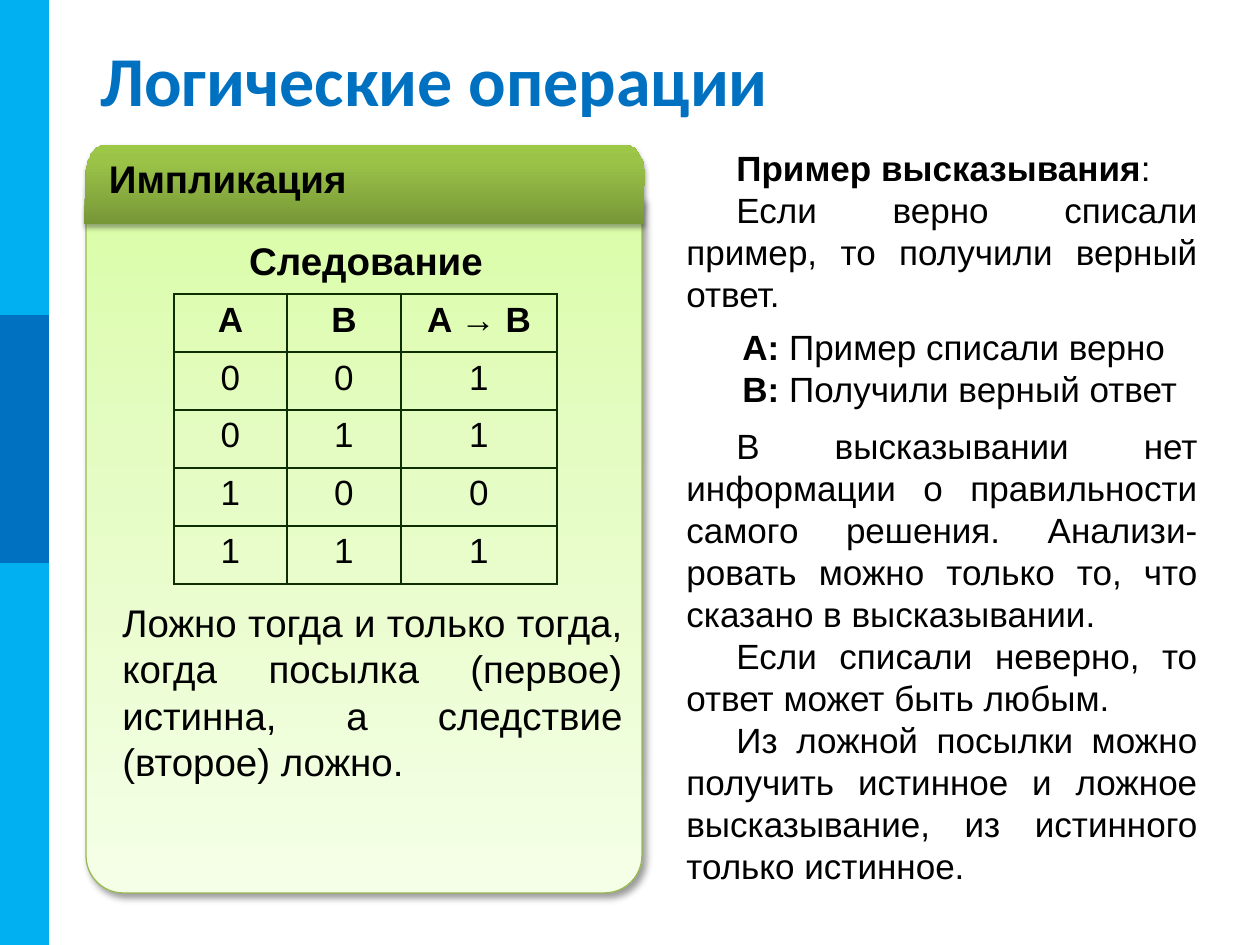
from lxml import etree
from pptx import Presentation
from pptx import util as u
from pptx.dml.color import RGBColor
from pptx.enum import shapes, text
from pptx.oxml import ns

PX = 914400 / 126
SKY = RGBColor(0x00, 0xB0, 0xF0)
BLUE = RGBColor(0x00, 0x70, 0xC0)
BLACK = RGBColor(0, 0, 0)
OLIVE = RGBColor(0x98, 0xB9, 0x55)
GRID = RGBColor(0x0C, 0x2E, 0x00)
LIME = [(0, "DAFDA7"), (35, "E4FCC2"), (100, "F5FFE7")]
MOSS = [(0, "779737"), (80, "9BC348"), (100, "9DC746")]

LEFT, CENTER, JUST = text.PP_ALIGN.LEFT, text.PP_ALIGN.CENTER, text.PP_ALIGN.JUSTIFY
STRIPES = [((0, 0, 49, 945), SKY), ((0, 315, 49, 248), BLUE)]
TITLE = "Логические операции"
HEAD = "Импликация"
TRUTH = [
    ("A", "B", "A → B"),
    ("0", "0", "1"),
    ("0", "1", "1"),
    ("1", "0", "0"),
    ("1", "1", "1"),
]
COLS, ROW = (113, 114, 156), 58

# box, size, alignment, first-line indent, paragraphs of (bold part, plain part)
NOTES = [
    ((106, 231, 520, 59), 22, CENTER, 0, [("Следование", "")]),
    ((110, 593, 525, 199), 22, JUST, 0, [
        ("", "Ложно тогда и только тогда, когда посылка (первое) истинна, "
             "а следствие (второе) ложно.")]),
    ((674, 140, 536, 183), 20, JUST, 50, [
        ("Пример высказывания", ": "),
        ("", "Если верно списали пример, то получили верный ответ.")]),
    ((730, 319, 476, 97), 20, JUST, 0, [
        ("A: ", "Пример списали верно"),
        ("B: ", "Получили верный ответ")]),
    ((674, 418, 536, 479), 20, JUST, 50, [
        ("", "В высказывании нет информации о правильности самого решения. "
             "Анализи-ровать можно только то, что сказано в высказывании. "),
        ("", "Если списали неверно, то ответ может быть любым. "),
        ("", "Из ложной посылки можно получить истинное и ложное "
             "высказывание, из истинного только истинное.")]),
]


def emu(*vals):
    return [u.Emu(round(v * PX)) for v in vals]


def node(root, tag, **attrs):
    return etree.SubElement(root, ns.qn("a:" + tag), {k: str(v) for k, v in attrs.items()})


def shade(shape, stops):
    """Fill with a gradient whose first stop lies at the shape's own bottom."""
    shape.fill.gradient()
    grad = shape._element.spPr.find(ns.qn("a:gradFill"))
    for kid in list(grad):
        grad.remove(kid)
    row = node(grad, "gsLst")
    for pos, tint in stops:
        node(node(row, "gs", pos=pos * 1000), "srgbClr", val=tint)
    node(grad, "lin", ang=270 * 60000, scaled=0)


def shadow(shape, alpha, blur, dist, angle):
    shape.shadow.inherit = False
    fx = shape._element.spPr.find(ns.qn("a:effectLst"))
    cast = node(fx, "outerShdw", blurRad=u.Pt(blur), dist=u.Pt(dist),
                dir=angle * 60000, rotWithShape=0)
    node(node(cast, "srgbClr", val="000000"), "alpha", val=alpha * 1000)


def write(para, words, size, bold=False, face="Arial", tint=BLACK, align=LEFT):
    run = para.add_run()
    run.text = words
    para.alignment = align
    font = run.font
    font.name, font.size, font.bold = face, u.Pt(size), bold
    font.color.rgb = tint


def textbox(slide, box):
    frame = slide.shapes.add_textbox(*emu(*box)).text_frame
    frame.word_wrap = True
    return frame


def note(slide, box, size, align, indent, paras):
    frame = textbox(slide, box)
    for i, parts in enumerate(paras):
        para = frame.add_paragraph() if i else frame.paragraphs[0]
        if indent:
            para._p.get_or_add_pPr().set("indent", str(emu(indent)[0]))
        for words, bold in zip(parts, (True, False)):
            if words:
                write(para, words, size, bold, align=align)


def card(slide):
    body = slide.shapes.add_shape(
        shapes.MSO_SHAPE.ROUND_2_SAME_RECTANGLE, *emu(86, 199, 556, 694))
    body.adjustments[0], body.adjustments[1] = 0.067, 0
    body._element.spPr.find(ns.qn("a:xfrm")).set("flipV", "1")
    shade(body, LIME)
    body.line.color.rgb, body.line.width = OLIVE, u.Pt(0.75)
    shadow(body, 40, 4, 3, 45)


def bend(start, pull, push, end, steps=10):
    """Points along a cubic curve."""
    for i in range(1, steps + 1):
        t = i / steps
        s = 1 - t
        yield tuple(s**3 * a + 3 * s * s * t * b + 3 * s * t * t * c + t**3 * d
                    for a, b, c, d in zip(start, pull, push, end))


def header(slide):
    start = (86, 175)
    rim = [*bend(start, (86, 159), (94, 145), (105, 145)), (626, 145),
           *bend((626, 145), (636, 145), (645, 159), (645, 175)),
           (644, 224), (84, 224)]
    build = slide.shapes.build_freeform(*start, scale=PX)
    build.add_line_segments(rim, close=True)
    tab = build.convert_to_shape()
    shade(tab, MOSS)
    tab.line.fill.background()
    shadow(tab, 35, 3.1, 1.8, 90)
    frame = tab.text_frame
    frame.word_wrap = True
    frame.vertical_anchor = text.MSO_ANCHOR.MIDDLE
    (frame.margin_left, frame.margin_top,
     frame.margin_right, frame.margin_bottom) = emu(25, 5, 11, 11)
    para = frame.paragraphs[0]
    para.line_spacing = 0.9
    write(para, HEAD, 22, True)


def truth(slide):
    table = slide.shapes.add_table(
        len(TRUTH), len(COLS), *emu(174, 294, sum(COLS), ROW * len(TRUTH))).table
    table.first_row = table.horz_banding = False
    for col, width in zip(table.columns, emu(*COLS)):
        col.width = width
    for r, line in enumerate(TRUTH):
        table.rows[r].height = emu(ROW)[0]
        for c, words in enumerate(line):
            cell = table.cell(r, c)
            write(cell.text_frame.paragraphs[0], words, 20, r == 0, align=CENTER)
            props = cell._tc.get_or_add_tcPr()
            for side in ("lnL", "lnR", "lnT", "lnB"):
                edge = node(props, side, w=u.Pt(1))
                node(node(edge, "solidFill"), "srgbClr", val=GRID)
            cell.fill.background()


def main():
    deck = Presentation()
    deck.slide_width, deck.slide_height = emu(1260, 945)
    slide = deck.slides.add_slide(deck.slide_layouts[6])
    for box, tint in STRIPES:
        bar = slide.shapes.add_shape(shapes.MSO_SHAPE.RECTANGLE, *emu(*box))
        bar.fill.solid()
        bar.fill.fore_color.rgb = tint
        bar.line.fill.background()
        bar.shadow.inherit = False
    frame = textbox(slide, (88, 38, 1137, 81))
    frame.vertical_anchor = text.MSO_ANCHOR.MIDDLE
    write(frame.paragraphs[0], TITLE, 40, True, "Calibri", BLUE)
    card(slide)
    header(slide)
    truth(slide)
    for item in NOTES:
        note(slide, *item)
    deck.save("out.pptx")


if __name__ == "__main__":
    main()
